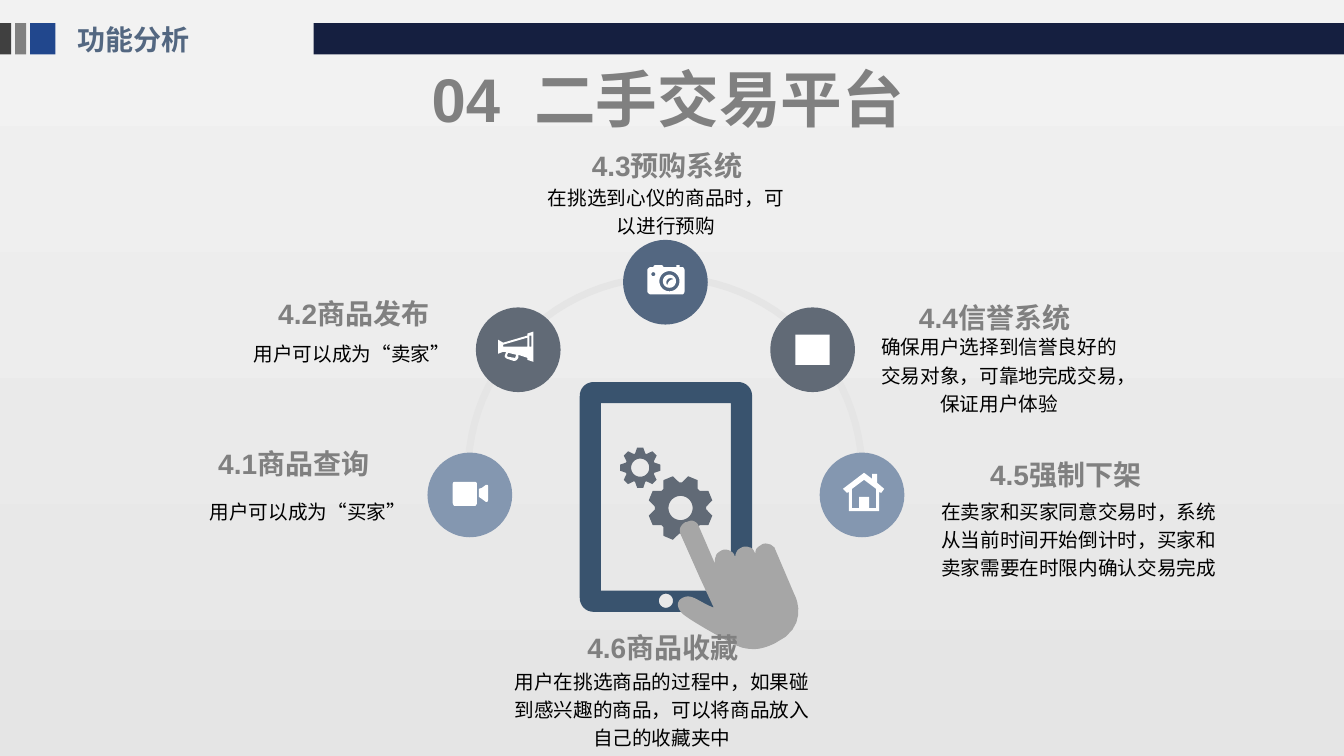
import math
from dataclasses import dataclass

from lxml import etree
from pptx import Presentation
from pptx.dml.color import RGBColor
from pptx.enum.shapes import MSO_SHAPE
from pptx.enum.text import MSO_ANCHOR, MSO_AUTO_SIZE, PP_ALIGN
from pptx.oxml.ns import qn
from pptx.util import Inches, Pt

RECT, OVAL = MSO_SHAPE.RECTANGLE, MSO_SHAPE.OVAL
TOP, MIDDLE, BOTTOM = MSO_ANCHOR.TOP, MSO_ANCHOR.MIDDLE, MSO_ANCHOR.BOTTOM
LEFT, CENTER = PP_ALIGN.LEFT, PP_ALIGN.CENTER
NO_AUTOFIT = MSO_AUTO_SIZE.NONE


@dataclass(frozen=True)
class Theme:
    heading: str = "808080"
    body: str = "000000"
    charcoal: str = "404040"
    blue: str = "21478D"
    navy: str = "151F40"
    slate: str = "536781"
    graphite: str = "616A76"
    sky: str = "8497B0"
    tablet: str = "39536E"
    hand: str = "A6A6A6"
    arc: str = "E5E5E5"
    icon: str = "FFFFFF"
    backdrop_top: str = "F2F2F2"
    backdrop_bottom: str = "E5E5E5"
    latin: str = "Arial"
    cjk: str = "Noto Sans CJK SC"
    title_size: int = 44
    heading_size: int = 20
    body_size: int = 14


THEME = Theme()

CAMCORDER = [
    [(-.15, -.13), (.05, -.13), (.06, -.13, .07, -.12, .07, -.11), (.07, .08),
     (.07, .09, .06, .11, .05, .11), (-.15, .11), (-.16, .11, -.17, .09, -.17, .08),
     (-.17, -.11), (-.17, -.12, -.16, -.13, -.15, -.13)],
    [(.16, -.10), (.12, -.07), (.09, -.06), (.09, .02), (.12, .04), (.16, .07),
     (.17, .07, .18, .07, .18, .05), (.18, -.09), (.18, -.10, .17, -.10, .16, -.10)],
]
MEGAPHONE = [
    [(.09, -.16), (.09, -.14), (-.15, -.07), (-.20, -.10), (-.20, .04), (-.15, .02), (-.12, .02),
     (-.13, .05), (-.14, .07, -.13, .08, -.11, .09), (-.05, .11), (-.04, .11),
     (-.02, .11, -.01, .10, 0, .08), (0, .05), (.09, .08), (.09, .10), (.15, .12), (.15, -.18)],
    [(-.03, .08), (-.04, .08), (-.10, .07), (-.11, .07, -.11, .06, -.11, .05), (-.10, .03), (-.02, .05)],
    [(.09, -.03), (-.15, -.03), (-.15, -.05), (.09, -.12)],
    [(.13, -.03), (.11, -.03), (.11, -.14), (.13, -.14)],
]
HOUSE = [
    [(.15, -.12), (.15, -.21), (.10, -.21), (.10, -.16), (.02, -.22), (-.19, -.06), (-.15, -.02),
     (-.13, -.03), (-.13, .16), (.17, .16), (.17, -.03), (.19, -.02), (.22, -.06)],
    [(.14, .13), (.07, .13), (.07, .02), (-.03, .02), (-.03, .13), (-.10, .13),
     (-.10, -.06), (.02, -.15), (.14, -.06)],
]
HAND = [[
    (.08, .01), (.06, .02, .04, .04, .03, .06), (.02, .08, .02, .10, .03, .13), (.23, .58), (.36, .86),
    (.23, .81, .15, .73, .08, .75), (0, .77, -.03, .84, .05, .92), (.12, .98, .35, 1.11, .46, 1.17),
    (.49, 1.19, .51, 1.20, .52, 1.21), (.55, 1.22, .57, 1.23, .60, 1.24),
    (.64, 1.26, .70, 1.27, .76, 1.27), (.82, 1.27, .89, 1.25, .97, 1.21),
    (1.29, 1.06, 1.19, .78, 1.16, .73), (.96, .26), (.94, .25, .93, .23, .91, .23),
    (.88, .22, .86, .22, .84, .23), (.81, .25, .79, .26, .78, .28), (.77, .30, .77, .32, .78, .34),
    (.76, .30), (.75, .28, .73, .26, .71, .26), (.69, .25, .66, .25, .64, .26),
    (.60, .28, .59, .29, .58, .32), (.57, .34, .57, .36, .58, .38), (.56, .33),
    (.55, .31, .53, .30, .51, .29), (.48, .28, .46, .28, .44, .29), (.40, .31, .38, .33, .38, .35),
    (.37, .37, .37, .39, .37, .42), (.21, .05), (.20, .02, .18, .01, .16, 0),
    (.14, -.01, .11, 0, .09, .01),
]]


def arc(x, y, radius, start=0, end=360):
    angles = [math.radians(start + (end - start) * i / 48) for i in range(49)]
    return [(x + radius * math.cos(a), y + radius * math.sin(a)) for a in angles]


def gear(x, y, outer, root, tip, hole, phase):
    teeth = []
    for tooth in range(8):
        a = math.radians(phase + 45 * tooth)
        for reach, side in ((root, -1.7 * tip), (outer, -tip), (outer, tip), (root, 1.7 * tip)):
            teeth.append((x + reach * math.cos(a) - side * math.sin(a),
                          y + reach * math.sin(a) + side * math.cos(a)))
    return [teeth, arc(x, y, hole)]


CAMERA = [
    [(.17, -.15), (.14, -.15), (.14, -.17), (.11, -.17), (.11, -.15), (-.02, -.15),
     (-.02, -.16, -.03, -.17, -.04, -.17), (-.10, -.17), (-.11, -.17, -.12, -.16, -.12, -.15),
     (-.15, -.15), (-.16, -.15, -.18, -.13, -.18, -.12), (-.18, .09),
     (-.18, .10, -.16, .12, -.15, .12), (.17, .12), (.18, .12, .19, .10, .19, .09), (.19, -.12),
     (.19, -.13, .18, -.15, .17, -.15)],
    arc(-.12, -.08, .02), arc(.04, -.01, .10), arc(.04, -.01, .065),
    [(.02, .03), (.01, .02, .01, .01, .01, 0), (.01, -.03, .03, -.04, .05, -.04),
     (.06, -.04, .07, -.04, .08, -.03), (.05, -.03, .02, 0, .02, .03)],
]

BADGES = [
    (4.66, 4.91, THEME.sky, CAMCORDER),
    (5.14, 3.47, THEME.graphite, MEGAPHONE),
    (6.60, 2.80, THEME.slate, CAMERA),
    (8.06, 3.47, THEME.graphite, None),
    (8.55, 4.91, THEME.sky, HOUSE),
]
FEATURES = [
    ("4.1商品查询", (1.83, 4.3, 2.17, .46), "用户可以成为“买家”", (2.02, 4.91, 2.07, .32), THEME.cjk),
    ("4.2商品发布", (2.31, 2.82, 2.4, .46), "用户可以成为“卖家”", (2.41, 3.35, 2.16, .32), THEME.cjk),
    ("4.3预购系统", (5.38, 1.35, 2.48, .46), "在挑选到心仪的商品时，可以进行预购",
     (5.42, 1.8, 2.37, .32), THEME.latin),
    ("4.4信誉系统", (8.78, 2.86, 2.17, .46),
     "确保用户选择到信誉良好的交易对象，可靠地完成交易，保证用户体验", (8.67, 3.28, 2.48, .39), THEME.latin),
    ("4.5强制下架", (9.33, 4.41, 2.48, .46),
     "在卖家和买家同意交易时，系统从当前时间开始倒计时，买家和卖家需要在时限内确认交易完成",
     (9.33, 4.91, 2.74, .35), THEME.latin),
    ("4.6商品收藏", (5.49, 6.13, 2.17, .46),
     "用户在挑选商品的过程中，如果碰到感兴趣的商品，可以将商品放入自己的收藏夹中",
     (5.08, 6.6, 2.97, .3), THEME.latin),
]


def rgb(color):
    return RGBColor.from_string(color)


def paint(shape, color):
    shape.shadow.inherit = False
    shape.fill.solid()
    shape.fill.fore_color.rgb = rgb(color)
    shape.line.fill.background()


def preset(slide, kind, box, color):
    paint(slide.shapes.add_shape(kind, *map(Inches, box)), color)


def flatten(contour):
    points = [contour[0]]
    for step in contour[1:]:
        if len(step) == 2:
            points.append(step)
            continue
        nodes = (points[-1], step[:2], step[2:4], step[4:])
        for i in range(1, 9):
            t = i / 8
            weights = ((1 - t) ** 3, 3 * t * (1 - t) ** 2, 3 * t * t * (1 - t), t ** 3)
            points.append(tuple(sum(w * n[axis] for w, n in zip(weights, nodes)) for axis in (0, 1)))
    return points


def outline(slide, left, top, contours, close=True):
    lines = [[(Inches(left + x), Inches(top + y)) for x, y in flatten(c)] for c in contours]
    builder = slide.shapes.build_freeform(*lines[0][0])
    for i, line in enumerate(lines):
        if i:
            builder.move_to(*line[0])
        builder.add_line_segments(line[1:], close=close)
    return builder.convert_to_shape()


def write(shape, words, size, color, font=THEME.latin, bold=True, align=CENTER, anchor=BOTTOM,
          wrap=False, spacing=None, inset=0):
    frame = shape.text_frame
    frame.auto_size, frame.word_wrap, frame.vertical_anchor = NO_AUTOFIT, wrap, anchor
    frame.margin_left = Inches(inset)
    frame.margin_right = frame.margin_top = frame.margin_bottom = 0
    paragraph = frame.paragraphs[0]
    paragraph.alignment, paragraph.line_spacing = align, spacing
    for word in words:
        run = paragraph.add_run()
        run.text = word
        run.font.size, run.font.bold, run.font.name = Pt(size), bold, font
        run.font.color.rgb = rgb(color)
        properties = run._r.get_or_add_rPr()
        etree.SubElement(properties, qn("a:ea")).set("typeface", THEME.cjk)
        if word == " ":
            properties.set("spc", "1220")


def text_box(slide, box, words, size, color, **style):
    write(slide.shapes.add_textbox(*map(Inches, box)), words, size, color, **style)


def draw_header(slide, left, top, width, height):
    for offset, bar, color in ((0, .11, THEME.charcoal), (.15, .11, THEME.heading),
                               (.3, .25, THEME.blue), (3.11, width - 3.11, THEME.navy)):
        preset(slide, RECT, (left + offset, top, bar, height), color)
    text_box(slide, (left + .55, top - .06, 2.56, .44), ["功能分析"], THEME.heading_size, THEME.slate,
             align=LEFT, anchor=MIDDLE, inset=.22)


def draw_title(slide, left, top, width, height):
    title = slide.shapes.title
    title.left, title.top, title.width, title.height = map(Inches, (left, top, width, height))
    write(title, ["04", " ", "二手交易平台"], THEME.title_size, THEME.heading)


def draw_tablet(slide, left, top, width, height):
    r, k = .14, .06
    frame = [(r, 0), (width - r, 0), (width - k, 0, width, k, width, r), (width, height - r),
             (width, height - k, width - k, height, width - r, height), (r, height),
             (k, height, 0, height - k, 0, height - r), (0, r), (0, k, k, 0, r, 0)]
    right, bottom = width - .21, height - .21
    screen = [(.21, .21), (right, .21), (right, bottom), (.21, bottom)]
    paint(outline(slide, left, top, [frame, screen, arc(width / 2, height - .11, .07)]), THEME.tablet)
    gears = gear(.6, .85, .2, .14, .03, .09, 0) + gear(1, 1.25, .32, .24, .05, .12, 22.5)
    paint(outline(slide, left, top, gears), THEME.graphite)
    paint(outline(slide, left + .97, top + 1.38, HAND), THEME.hand)


def draw_badges(slide, left, top, radius):
    track = outline(slide, left, top, [arc(radius, radius, radius, 180, 360)], close=False)
    track.shadow.inherit = False
    track.fill.background()
    track.line.color.rgb, track.line.width = rgb(THEME.arc), Pt(5)
    for x, y, color, icon in BADGES:
        preset(slide, OVAL, (x - .42, y - .42, .84, .84), color)
        if icon:
            paint(outline(slide, x, y, icon), THEME.icon)
        else:
            preset(slide, RECT, (x - .17, y - .15, .34, .3), THEME.icon)


def draw_feature(slide, heading, heading_box, detail, detail_box, detail_font):
    text_box(slide, heading_box, [heading], THEME.heading_size, THEME.heading)
    text_box(slide, detail_box, [detail], THEME.body_size, THEME.body, font=detail_font,
             bold=False, anchor=TOP, wrap=True, spacing=1.2)


def main():
    deck = Presentation()
    deck.slide_width, deck.slide_height = Inches(13.33), Inches(7.5)
    slide = deck.slides.add_slide(deck.slide_layouts[5])
    backdrop = slide.background.fill
    backdrop.gradient()
    backdrop.gradient_angle = 270
    for stop, color in zip(backdrop.gradient_stops, (THEME.backdrop_top, THEME.backdrop_bottom)):
        stop.color.rgb = rgb(color)
    draw_header(slide, 0, .23, 13.33, .31)
    draw_title(slide, 3.91, .6, 5.43, .74)
    draw_tablet(slide, 5.75, 3.79, 1.71, 2.28)
    draw_badges(slide, 4.64, 2.75, 1.955)
    for feature in FEATURES:
        draw_feature(slide, *feature)
    deck.save("out.pptx")


if __name__ == "__main__":
    main()
